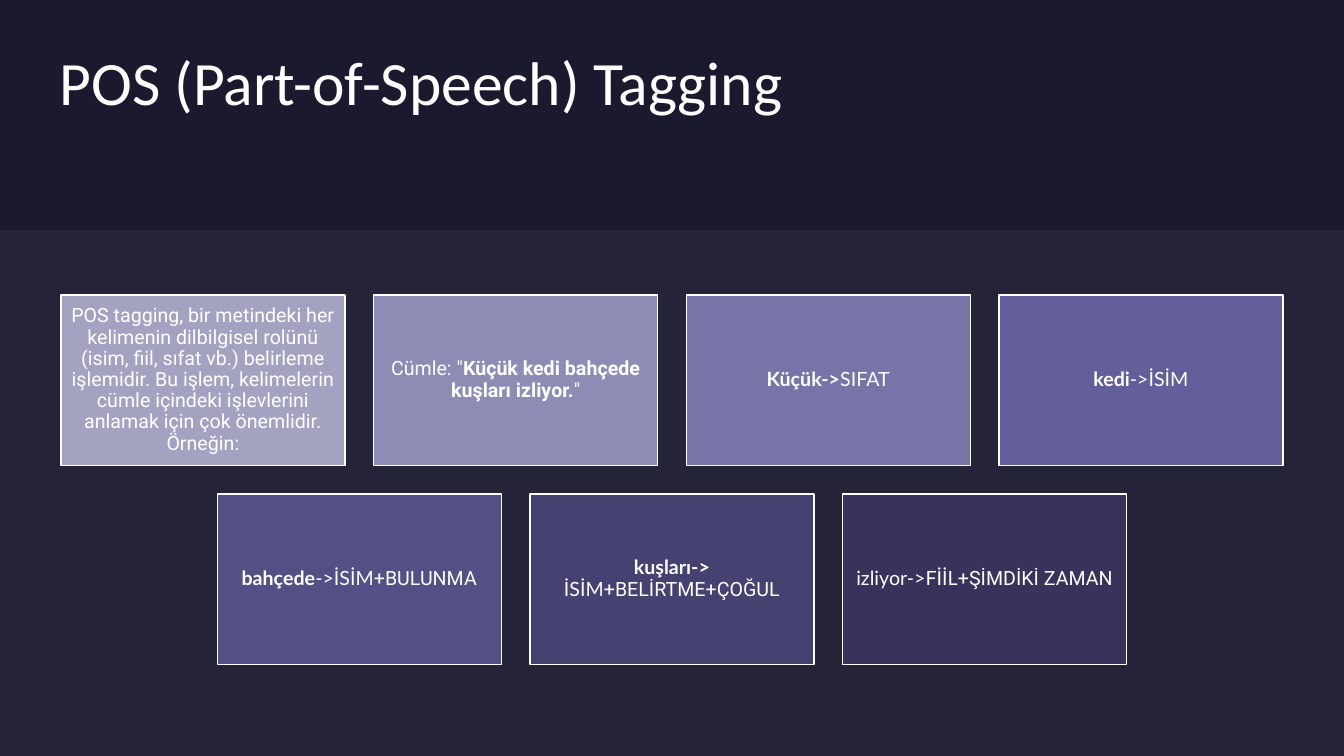
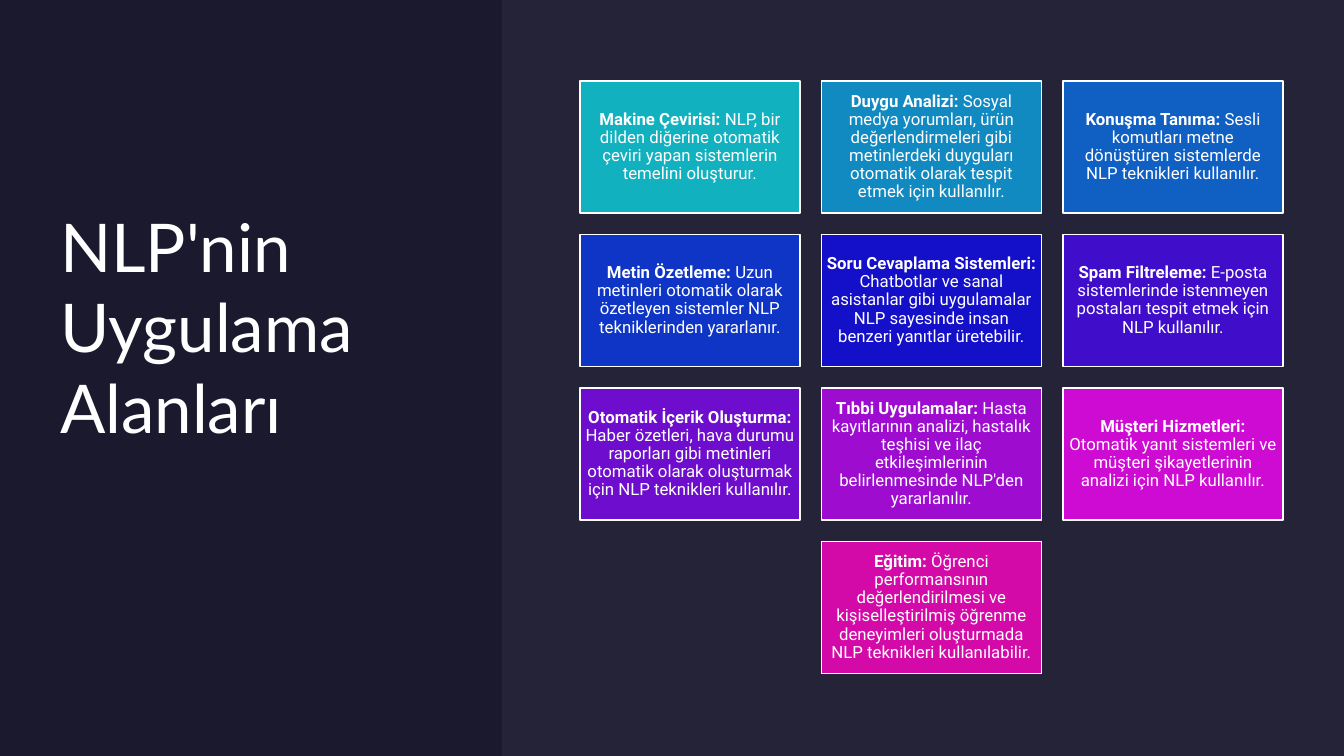
from lxml import etree
from pptx import Presentation
from pptx import util as u
from pptx.dml.color import RGBColor
from pptx.enum import shapes, text
from pptx.oxml.ns import qn

PX = 12192000 / 1344
W, H = 1344, 756
RIGHT = 1283
COLORS = {
    "night": "1B192E", "mist": "E4E3F0", "white": "FFFFFF",
    "pos1": "A3A3C1", "pos2": "8D8CB4", "pos3": "7775A8", "pos4": "625F9A",
    "pos5": "535086", "pos6": "454171", "pos7": "37335B",
    "app1": "12B1BF", "app2": "1189C1", "app3": "1060C4", "app4": "0F35C6",
    "app5": "140FC8", "app6": "400ECB", "app7": "6E0DCD", "app8": "9D0CCF",
    "app9": "CE0BD2", "app10": "D40AA8",
}
RGB = {name: RGBColor.from_string(value) for name, value in COLORS.items()}


def add_text(s, box, runs, size, fill=None, line=None, align="LEFT",
             anchor="MIDDLE", inset=0, spacing=1.0):
    """Add a rectangle holding (text, font, bold) runs in one paragraph."""
    sp = s.shapes.add_shape(shapes.MSO_SHAPE.RECTANGLE, *[round(v * PX) for v in box])
    sp.shadow.inherit = False
    if fill:
        sp.fill.solid()
        sp.fill.fore_color.rgb = RGB[fill]
    else:
        sp.fill.background()
    if line:
        sp.line.color.rgb = RGB[line]
        sp.line.width = u.Pt(1)
    else:
        sp.line.fill.background()
    tf = sp.text_frame
    tf.word_wrap = True
    tf.vertical_anchor = text.MSO_ANCHOR[anchor]
    tf.margin_left = tf.margin_right = tf.margin_top = tf.margin_bottom = round(inset * PX)
    p = tf.paragraphs[0]
    p.alignment = text.PP_ALIGN[align]
    p.line_spacing = spacing
    for words, font, bold in runs:
        r = p.add_run()
        r.text = words
        r.font.name, r.font.size, r.font.bold = font, u.Pt(size), bold
        r.font.color.rgb = RGB["white"]
    return sp


pos_cards = [
    [("POS tagging, bir metindeki her kelimenin dilbilgisel rolünü (isim, fiil, sıfat vb.) "
      "belirleme işlemidir. Bu işlem, kelimelerin cümle içindeki işlevlerini anlamak için "
      "çok önemlidir. Örneğin:", "Roboto", False)],
    [('Cümle: "', "Roboto", False), ("Küçük kedi bahçede kuşları izliyor.", "Roboto", True),
     ('"', "Roboto", False)],
    [("Küçük->", "Lato", True), ("SIFAT", "Lato", False)],
    [("kedi", "Lato", True), ("->İSİM", "Lato", False)],
    [("bahçede", "Lato", True), ("->İSİM", "Lato", False), ("+BULUNMA", "Roboto", False)],
    [("kuşları-> ", "Lato", True), ("İSİM", "Lato", False),
     ("+BELİRTME+ÇOĞUL", "Roboto", False)],
    [("izliyor->FİİL", "Lato", False), ("+ŞİMDİKİ ZAMAN", "Roboto", False)],
]
applications = [
    ("Makine Çevirisi:", "NLP, bir dilden diğerine otomatik çeviri yapan sistemlerin "
     "temelini oluşturur."),
    ("Duygu Analizi:", "Sosyal medya yorumları, ürün değerlendirmeleri gibi metinlerdeki "
     "duyguları otomatik olarak tespit etmek için kullanılır."),
    ("Konuşma Tanıma:", "Sesli komutları metne dönüştüren sistemlerde NLP teknikleri "
     "kullanılır."),
    ("Metin Özetleme:", "Uzun metinleri otomatik olarak özetleyen sistemler NLP "
     "tekniklerinden yararlanır."),
    ("Soru Cevaplama Sistemleri:", "Chatbotlar ve sanal asistanlar gibi uygulamalar NLP "
     "sayesinde insan benzeri yanıtlar üretebilir."),
    ("Spam Filtreleme:", "E-posta sistemlerinde istenmeyen postaları tespit etmek için NLP "
     "kullanılır."),
    ("Otomatik İçerik Oluşturma:", "Haber özetleri, hava durumu raporları gibi metinleri "
     "otomatik olarak oluşturmak için NLP teknikleri kullanılır."),
    ("Tıbbi Uygulamalar:", "Hasta kayıtlarının analizi, hastalık teşhisi ve ilaç "
     "etkileşimlerinin belirlenmesinde NLP'den yararlanılır."),
    ("Müşteri Hizmetleri:", "Otomatik yanıt sistemleri ve müşteri şikayetlerinin analizi "
     "için NLP kullanılır."),
    ("Eğitim:", "Öğrenci performansının değerlendirilmesi ve kişiselleştirilmiş öğrenme "
     "deneyimleri oluşturmada NLP teknikleri kullanılabilir."),
]
app_cards = [[(name + " ", "Roboto", True), (use, "Roboto", False)]
             for name, use in applications]

slides = [
    dict(title="POS (Part-of-Speech) Tagging", font="Calibri", title_size=44,
         title_box=(60, 44, 806, 109), panel=(0, 230, W, H - 230),
         cards=pos_cards, key="pos", cols=4, left=61, top=295, width=284,
         size=14, inset=6),
    dict(title="NLP'nin Uygulama Alanları", font="Lato", title_size=48,
         title_box=(60, 205, 393, 322), panel=(502, 0, W - 502, H),
         cards=app_cards, key="app", cols=3, left=580, top=81, width=220,
         size=12, inset=5),
]

prs = Presentation()
prs.slide_width, prs.slide_height = round(W * PX), round(H * PX)
background = prs.slide_master.background.fill
background.solid()
background.fore_color.rgb = RGB["night"]

for d in slides:
    s = prs.slides.add_slide(prs.slide_layouts[6])
    panel = add_text(s, d["panel"], [], 12, fill="mist")
    color = panel.fill._xPr.find(qn("a:solidFill")).find(qn("a:srgbClr"))
    etree.SubElement(color, qn("a:alpha"), val="5000")
    add_text(s, d["title_box"], [(d["title"], d["font"], False)], d["title_size"],
             anchor="TOP")

    # Cards fill rows from the left; a short last row is centred.
    cards, cols, width = d["cards"], d["cols"], d["width"]
    height = width * 0.6
    gap = (RIGHT - d["left"] - cols * width) / (cols - 1)
    for i, runs in enumerate(cards):
        row, col = divmod(i, cols)
        missing = max(0, (row + 1) * cols - len(cards))
        x = d["left"] + (col + missing / 2) * (width + gap)
        y = d["top"] + row * (height + gap)
        add_text(s, (x, y, width, height), runs, d["size"], fill=f"{d['key']}{i + 1}",
                 line="white", align="CENTER", inset=d["inset"], spacing=0.9)

prs.save("out.pptx")
